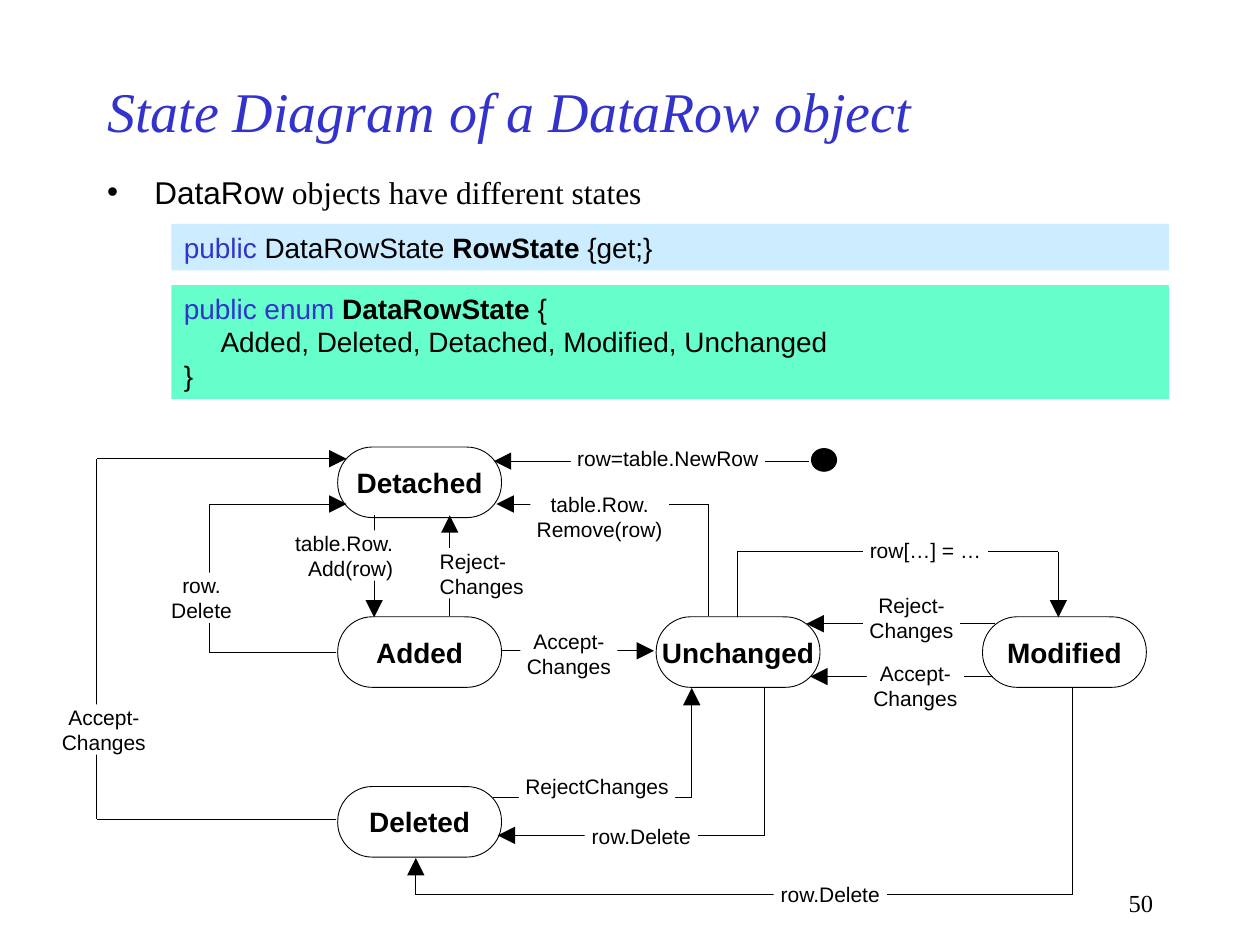
import itertools
from typing import NamedTuple

import pptx
import pptx.dml.color
import pptx.enum.shapes
import pptx.enum.text
import pptx.oxml
import pptx.oxml.ns
import pptx.util

Pt = pptx.util.Pt
RGBColor = pptx.dml.color.RGBColor
Shape = pptx.enum.shapes.MSO_SHAPE
Align = pptx.enum.text.PP_ALIGN
Anchor = pptx.enum.text.MSO_ANCHOR
AutoSize = pptx.enum.text.MSO_AUTO_SIZE

BLUE = RGBColor(0x33, 0x33, 0xCC)
BLACK = RGBColor(0, 0, 0)
WHITE = RGBColor(0xFF, 0xFF, 0xFF)
PALE_BLUE = RGBColor(0xCC, 0xEC, 0xFF)
MINT = RGBColor(0x66, 0xFF, 0xCC)
SANS, SERIF = "Arial", "Times New Roman"

STATE_WIDTH, STATE_HEIGHT = 93.6, 40.3
COLUMNS = (193, 375, 561.5)
ROWS = (255.5, 352.5, 449.5)
LABEL_LINE = 14.4


class Span(NamedTuple):
    text: str
    color: RGBColor = BLACK
    bold: bool = False
    font: str = SANS


class State(NamedTuple):
    name: str
    column: int
    row: int


class Transition(NamedTuple):
    label: str
    left: float
    top: float
    width: float
    route: tuple  # corner points; the arrowhead is at the last one
    align: Align = Align.CENTER


STATES = (
    State("Detached", 0, 0),
    State("Added", 0, 1),
    State("Unchanged", 1, 1),
    State("Modified", 2, 1),
    State("Deleted", 0, 2),
)

TRANSITIONS = (
    Transition("row=table.NewRow", 326.2, 254.9, 110.9, ((462.2, 263.5), (282.2, 263.5))),
    Transition("table.Row.\vAdd(row)", 164.2, 303.1, 64.1,
               ((213.8, 294.5), (213.8, 352.8)), Align.RIGHT),
    Transition("Reject-\vChanges", 247.7, 313.2, 55.4,
               ((257, 352.1), (257, 294.5)), Align.LEFT),
    Transition("row.\vDelete", 93.2, 327.2, 44,
               ((192.2, 373), (119.5, 373), (119.5, 288), (198, 288))),
    Transition("Accept-\vChanges", 297.4, 359.3, 55.4, ((286.6, 371.9), (373.7, 371.9))),
    Transition("row.Delete", 334.1, 470.9, 64.8,
               ((437, 393.1), (437, 477.4), (284.4, 477.4))),
    Transition("Accept-\vChanges", 31.7, 402.5, 55.4,
               ((192.2, 468), (55.4, 468), (55.4, 262.1), (198, 262.1))),
    Transition("row.Delete", 442.1, 504, 64.8,
               ((612.7, 393.1), (612.7, 511.2), (237.6, 511.2), (237.6, 490.3))),
    Transition("row[…] = …", 493.2, 307.4, 71.3,
               ((421.2, 352.8), (421.2, 315.4), (604.8, 315.4), (604.8, 352.8))),
    Transition("Accept-\vChanges", 495.4, 377.3, 55.4, ((567.4, 386.6), (463, 386.6))),
    Transition("Reject-\vChanges", 493.2, 338.4, 55.4, ((568.8, 356.4), (460.8, 356.4))),
    Transition("RejectChanges", 296.6, 442.1, 89.3,
               ((281.5, 455.8), (395.3, 455.8), (395.3, 393.1))),
    Transition("table.Row.\vRemove(row)", 303.1, 280.8, 79.2,
               ((404.6, 352.1), (404.6, 288), (283.7, 288))),
)


def place(box, left: float, top: float, width: float, height: float) -> None:
    box.left, box.top, box.width, box.height = map(Pt, (left, top, width, height))


def add_element(parent, tag: str, **attributes: str):
    child = parent.makeelement(pptx.oxml.ns.qn(tag), attributes)
    parent.append(child)
    return child


def format_runs(para, size: float, font: str = SANS, color: RGBColor = BLACK,
                bold: bool = False, italic: bool = False) -> None:
    for run in para.runs:
        run.font.size, run.font.name = Pt(size), font
        run.font.bold, run.font.italic = bold, italic
        run.font.color.rgb = color


def write_spans(para, spans: tuple, size: float) -> None:
    for span in spans:
        run = para.add_run()
        run.text = span.text
        run.font.size, run.font.name = Pt(size), span.font
        run.font.bold = span.bold
        run.font.color.rgb = span.color


def add_box(page, kind: Shape, bounds: tuple, fill: RGBColor | None = None,
            outlined: bool = False):
    box = page.shapes.add_shape(kind, *map(Pt, bounds))
    box.shadow.inherit = False
    if fill is None:
        box.fill.background()
    else:
        box.fill.solid()
        box.fill.fore_color.rgb = fill
    if outlined:
        box.line.color.rgb = BLACK
        box.line.width = Pt(0.5)
    else:
        box.line.fill.background()
    return box


def add_code(page, top: float, height: float, fill: RGBColor, lines: tuple) -> None:
    box = add_box(page, Shape.RECTANGLE, (98, top, 570, height), fill)
    frame = box.text_frame
    frame.word_wrap, frame.vertical_anchor = True, Anchor.TOP
    for index, spans in enumerate(lines):
        para = frame.add_paragraph() if index else frame.paragraphs[0]
        para.alignment = Align.LEFT
        tabs = add_element(para._p.get_or_add_pPr(), "a:tabLst")
        add_element(tabs, "a:tab", pos=str(Pt(21)), algn="l")
        write_spans(para, spans, 16)


def add_state(page, state: State) -> None:
    bounds = (COLUMNS[state.column], ROWS[state.row], STATE_WIDTH, STATE_HEIGHT)
    box = add_box(page, Shape.ROUNDED_RECTANGLE, bounds, outlined=True)
    box.adjustments[0] = 0.49
    frame = box.text_frame
    frame.word_wrap, frame.vertical_anchor = False, Anchor.MIDDLE
    frame.text = state.name
    frame.paragraphs[0].alignment = Align.CENTER
    format_runs(frame.paragraphs[0], 16, bold=True)


def add_line(page, start: tuple, end: tuple, arrow: bool) -> None:
    line = page.shapes.add_connector(
        pptx.enum.shapes.MSO_CONNECTOR.STRAIGHT, *map(Pt, start + end))
    line.line.color.rgb = BLACK
    line.line.width = Pt(0.5)
    if arrow:
        add_element(line.line._get_or_add_ln(), "a:tailEnd", type="triangle", w="lg", len="lg")
    add_element(line._element.spPr, "a:effectLst")


def add_transition(page, move: Transition) -> None:
    for start, end in itertools.pairwise(move.route):
        add_line(page, start, end, arrow=end == move.route[-1])
    height = LABEL_LINE * (move.label.count("\v") + 1)
    box = add_box(page, Shape.RECTANGLE, (move.left, move.top, move.width, height), WHITE)
    frame = box.text_frame
    frame.margin_left = frame.margin_right = Pt(3.6)
    frame.margin_top = frame.margin_bottom = Pt(0)
    frame.word_wrap, frame.vertical_anchor = False, Anchor.TOP
    frame.auto_size = AutoSize.SHAPE_TO_FIT_TEXT
    para = frame.paragraphs[0]
    para.text = move.label
    para.alignment = move.align
    format_runs(para, 12)


def main() -> None:
    deck = pptx.Presentation()
    deck.slide_width, deck.slide_height = Pt(720), Pt(540)
    page = deck.slides.add_slide(deck.slide_layouts[1])

    # Title and bullet
    title, body = page.shapes.title, page.placeholders[1]
    place(title, 54, 36, 540, 54)
    title.text_frame.text = "State Diagram of a DataRow object"
    title.text_frame.auto_size = AutoSize.NONE
    title.text_frame.vertical_anchor = Anchor.MIDDLE
    title.text_frame.paragraphs[0].alignment = Align.LEFT
    format_runs(title.text_frame.paragraphs[0], 32, SERIF, BLUE, italic=True)

    place(body, 54, 95, 599, 31)
    body.text_frame.auto_size = AutoSize.NONE
    para = body.text_frame.paragraphs[0]
    properties = para._p.get_or_add_pPr()
    properties.set("marL", str(Pt(27)))
    properties.set("indent", str(Pt(-27)))
    bullet_color = add_element(properties, "a:buClr")
    add_element(bullet_color, "a:srgbClr", val=str(BLACK))
    add_element(properties, "a:buChar", char="•")
    para.space_before = Pt(0)
    write_spans(para, (Span("DataRow"), Span(" objects have different states", font=SERIF)), 18)

    # Code
    add_code(page, 128, 26.6, PALE_BLUE, (
        (Span("public", BLUE), Span(" DataRowState "), Span("RowState", bold=True),
         Span(" {get;}")),
    ))
    add_code(page, 163, 65, MINT, (
        (Span("public enum ", BLUE), Span("DataRowState", bold=True), Span(" {")),
        (Span("\tAdded, Deleted, Detached, Modified, Unchanged"),),
        (Span("}"),),
    ))

    # State diagram
    for state in STATES:
        add_state(page, state)
    add_box(page, Shape.OVAL, (463.7, 256.3, 14.4, 13), BLACK, outlined=True)
    for move in TRANSITIONS:
        add_transition(page, move)

    # Page number
    number = page.shapes.add_textbox(*map(Pt, (516, 504, 150, 24)))
    number.text_frame.word_wrap = True
    number.text_frame.text = "50"
    number.text_frame.paragraphs[0].alignment = Align.RIGHT
    format_runs(number.text_frame.paragraphs[0], 14, SERIF)

    deck.save("out.pptx")


if __name__ == "__main__":
    main()
